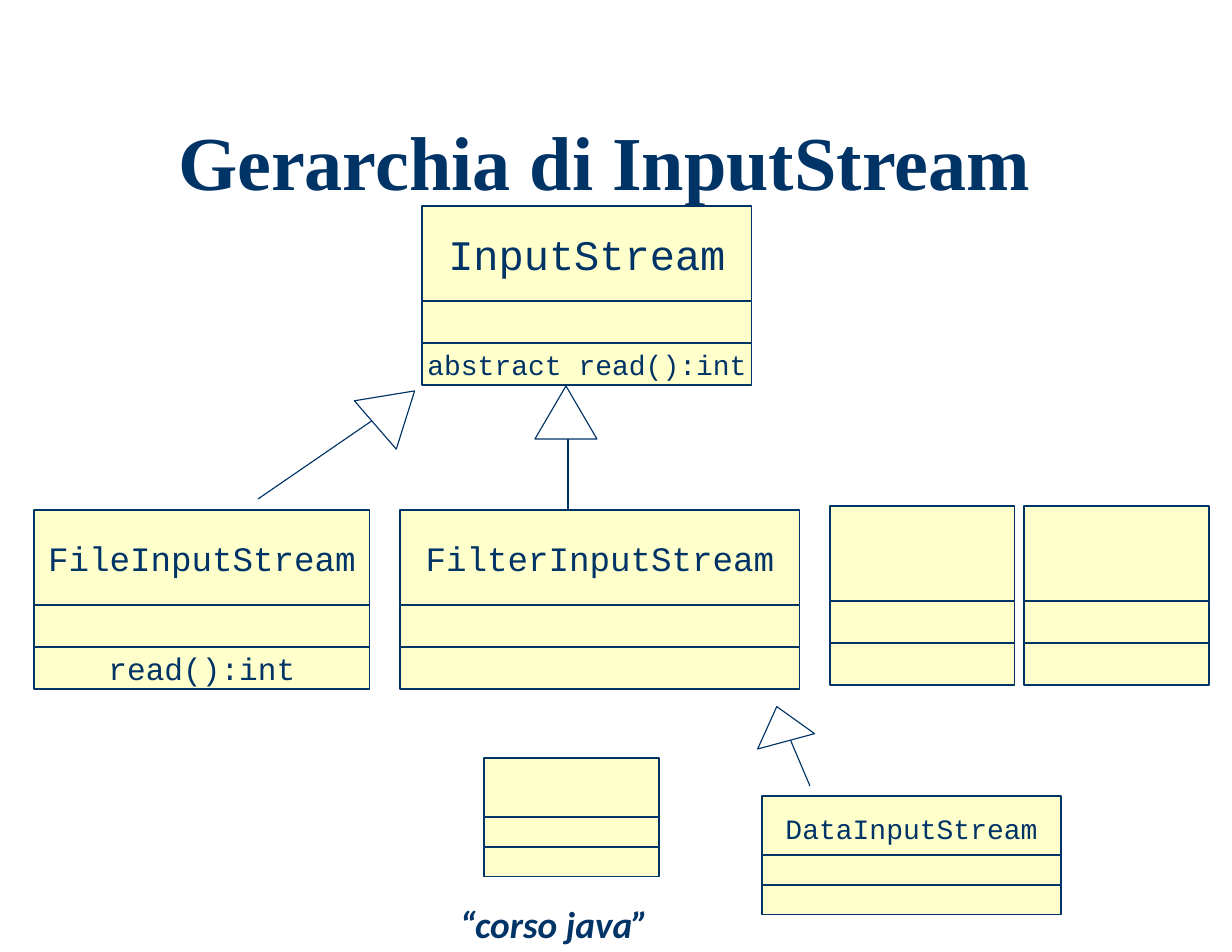
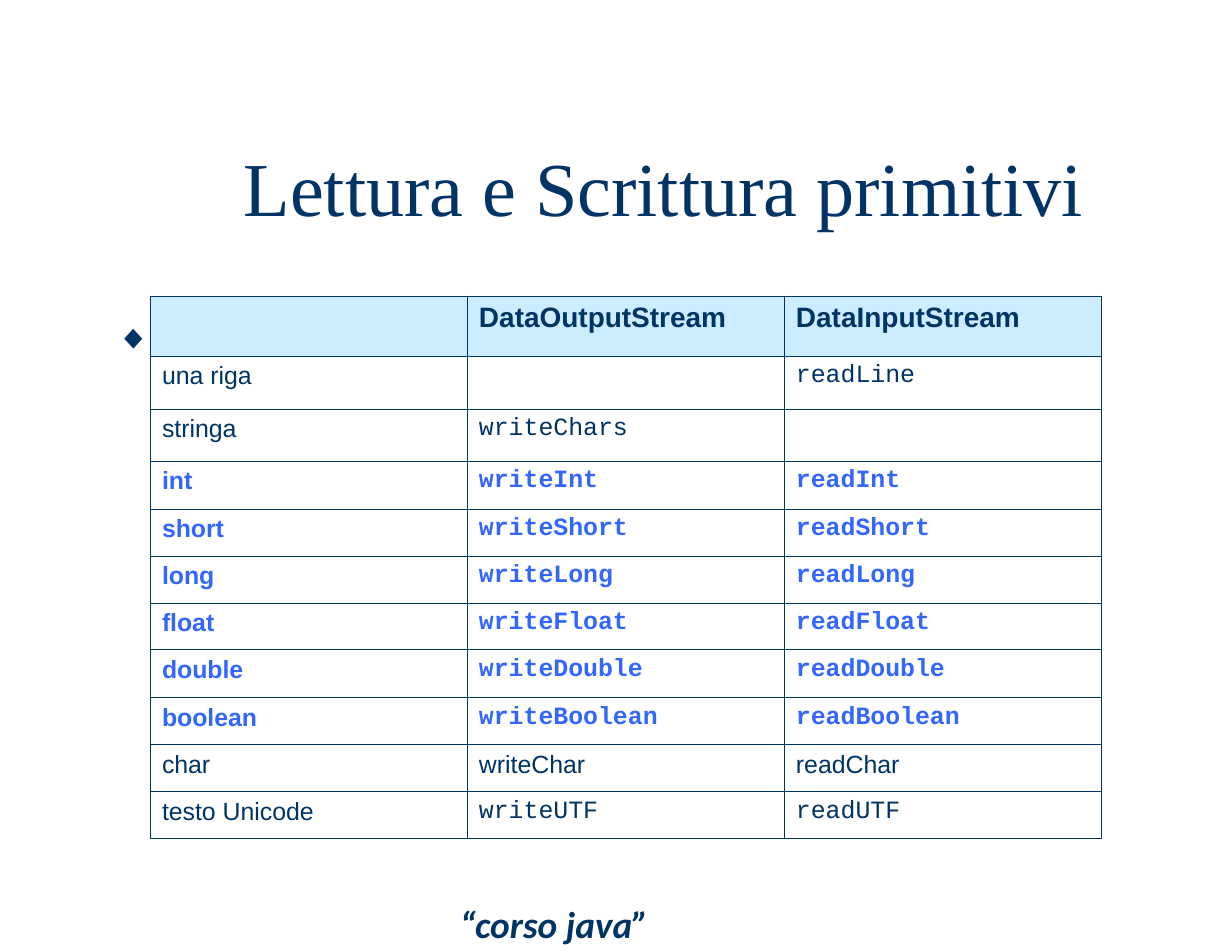
"""Builds two slides on Java streams: a class tree and a table of methods."""
from lxml import etree
from pptx import Presentation
from pptx.dml.color import RGBColor
from pptx.enum.shapes import MSO_CONNECTOR, MSO_SHAPE
from pptx.enum.text import MSO_ANCHOR, PP_ALIGN
from pptx.oxml import parse_xml
from pptx.oxml.ns import nsdecls, qn
from pptx.util import Emu, Pt

RECT, TRI = MSO_SHAPE.RECTANGLE, MSO_SHAPE.ISOSCELES_TRIANGLE
LINE = MSO_CONNECTOR.STRAIGHT
TOP, MID = MSO_ANCHOR.TOP, MSO_ANCHOR.MIDDLE
LEFT, CENTER = PP_ALIGN.LEFT, PP_ALIGN.CENTER

INK = {"navy": "003366", "blue": "3366FF", "cream": "FFFFCC", "sky": "CCECFF", "white": "FFFFFF"}
SERIF, SANS, MONO, FOOT = "Times New Roman", "Arial", "Courier New", "Calibri"

TREE = "Gerarchia di InputStream"
PRIMS = "Lettura e Scrittura primitivi"
COURSE = "“corso java”"
GEM = "◆"

BIG = {"head": 95, "step": 95, "row": 42}
SMALL = {"head": 65, "step": 59, "row": 30}
NONE = ("", 18)
CLASSES = [
    (34, 510, 336, BIG, ("FileInputStream", 22), ("read():int", 20)),
    (400, 510, 400, BIG, ("FilterInputStream", 22), NONE),
    (762, 796, 299, SMALL, ("DataInputStream", 18), NONE),
    (422, 206, 330, BIG, ("InputStream", 27), ("abstract read():int", 18)),
    (830, 506, 185, BIG, NONE, NONE),
    (1024, 506, 185, BIG, NONE, NONE),
    (484, 758, 175, SMALL, NONE, NONE),
]
STEMS = [(258, 499, 373, 420), (568, 510, 568, 439), (810, 786, 790, 739)]
TIPS = [(363, 382, 64, 52, 49.1), (535, 386, 62, 53, 0), (752, 706, 59, 36, 344.9)]

HEADS = ("", "DataOutputStream", "DataInputStream")
METHODS = [
    ("una riga", "", "readLine"),
    ("stringa", "writeChars", ""),
    ("int", "writeInt", "readInt"),
    ("short", "writeShort", "readShort"),
    ("long", "writeLong", "readLong"),
    ("float", "writeFloat", "readFloat"),
    ("double", "writeDouble", "readDouble"),
    ("boolean", "writeBoolean", "readBoolean"),
    ("char", "writeChar", "readChar"),
    ("testo Unicode", "writeUTF", "readUTF"),
]
MARKED = {"int", "short", "long", "float", "double", "boolean"}
HIGHS = [60, 53, 52, 48, 47, 47, 47, 48, 47, 47, 47]
WIDE = 317


def px(num):
    return Emu(round(num * 914400 / 112))


def rgb(name):
    return RGBColor.from_string(INK[name])


def write(frame, text, size, face, ink="navy", bold=False, slant=False, align=LEFT):
    para = frame.paragraphs[0]
    para.alignment = align
    run = para.add_run()
    run.text = text
    font = run.font
    font.size, font.name, font.bold, font.italic = Pt(size), face, bold, slant
    font.color.rgb = rgb(ink)
    return para


def inset(frame, side, edge, anchor, wrap):
    frame.margin_left = frame.margin_right = px(side)
    frame.margin_top = frame.margin_bottom = px(edge)
    frame.vertical_anchor, frame.word_wrap = anchor, wrap


def label(slide, x, y, w, h, side, edge, anchor, wrap):
    frame = slide.shapes.add_textbox(px(x), px(y), px(w), px(h)).text_frame
    inset(frame, side, edge, anchor, wrap)
    return frame


def shape(slide, kind, x, y, w, h, fill, turn=0):
    item = slide.shapes.add_shape(kind, px(x), px(y), px(w), px(h))
    item.shadow.inherit = False
    item.fill.solid()
    item.fill.fore_color.rgb = rgb(fill)
    item.line.color.rgb = rgb("navy")
    item.line.width = Pt(0.75)
    item.rotation = turn
    return item


def page(deck, title, top, bold, align):
    slide = deck.slides.add_slide(deck.slide_layouts[6])
    foot = label(slide, 449, 895, 212, 56, 11, 6, TOP, False)
    write(foot, COURSE, 24, FOOT, bold=True, slant=True)
    head = label(slide, 166, top, 995, 159, 12, 7, MID, True)
    write(head, title, 49, SERIF, bold=bold, align=align).line_spacing = 0.85
    return slide


def block(slide, x, y, w, form, name, method):
    step, row = form["step"], form["row"]
    parts = [(y, form["head"], name), (y + step, row, NONE), (y + step + row, row, method)]
    for top, high, (text, size) in parts:
        item = shape(slide, RECT, x, top, w, high, "cream")
        if text:
            inset(item.text_frame, 12, 6, MID, False)
            write(item.text_frame, text, size, MONO, align=CENTER)


def stem(slide, x1, y1, x2, y2):
    line = slide.shapes.add_connector(LINE, px(x1), px(y1), px(x2), px(y2))
    line.line.color.rgb = rgb("navy")
    line.line.width = Pt(0.75)
    etree.SubElement(line._element.spPr, qn("a:effectLst"))


def border(cell):
    props = cell._tc.get_or_add_tcPr()
    for side in "LRTB":
        props.append(parse_xml(
            f'<a:ln{side} {nsdecls("a")} w="{Pt(0.45)}"><a:solidFill>'
            f'<a:srgbClr val="{INK["navy"]}"/></a:solidFill></a:ln{side}>'))


def grid(slide, x, y):
    rows = [HEADS] + METHODS
    table = slide.shapes.add_table(
        len(rows), len(HEADS), px(x), px(y), px(WIDE * len(HEADS)), px(sum(HIGHS))).table
    table.first_row = table.horz_banding = False
    for col in table.columns:
        col.width = px(WIDE)
    for r, (texts, high) in enumerate(zip(rows, HIGHS)):
        table.rows[r].height = px(high)
        top, mark = r == 0, texts[0] in MARKED
        for c, text in enumerate(texts):
            cell = table.cell(r, c)
            border(cell)
            cell.fill.solid()
            cell.fill.fore_color.rgb = rgb("sky" if top else "white")
            cell.margin_left = cell.margin_right = px(12)
            cell.margin_top = cell.margin_bottom = px(6)
            if text:
                plain = top or c == 0 or texts[0] == "char"
                write(cell.text_frame, text, 18 if top else 16, SANS if plain else MONO,
                      "blue" if mark else "navy", top or mark)


def main():
    deck = Presentation()
    deck.slide_width, deck.slide_height = px(1232), px(952)

    tree = page(deck, TREE, 88, True, LEFT)
    for item in CLASSES:
        block(tree, *item)
    for ends in STEMS:
        stem(tree, *ends)
    for x, y, w, h, turn in TIPS:
        shape(tree, TRI, x, y, w, h, "white", turn)

    prims = page(deck, PRIMS, 114, False, CENTER)
    write(label(prims, 113, 312, 40, 50, 0, 0, MID, True), GEM, 22, SANS, align=CENTER)
    grid(prims, 150, 296)
    deck.save("out.pptx")


if __name__ == "__main__":
    main()
